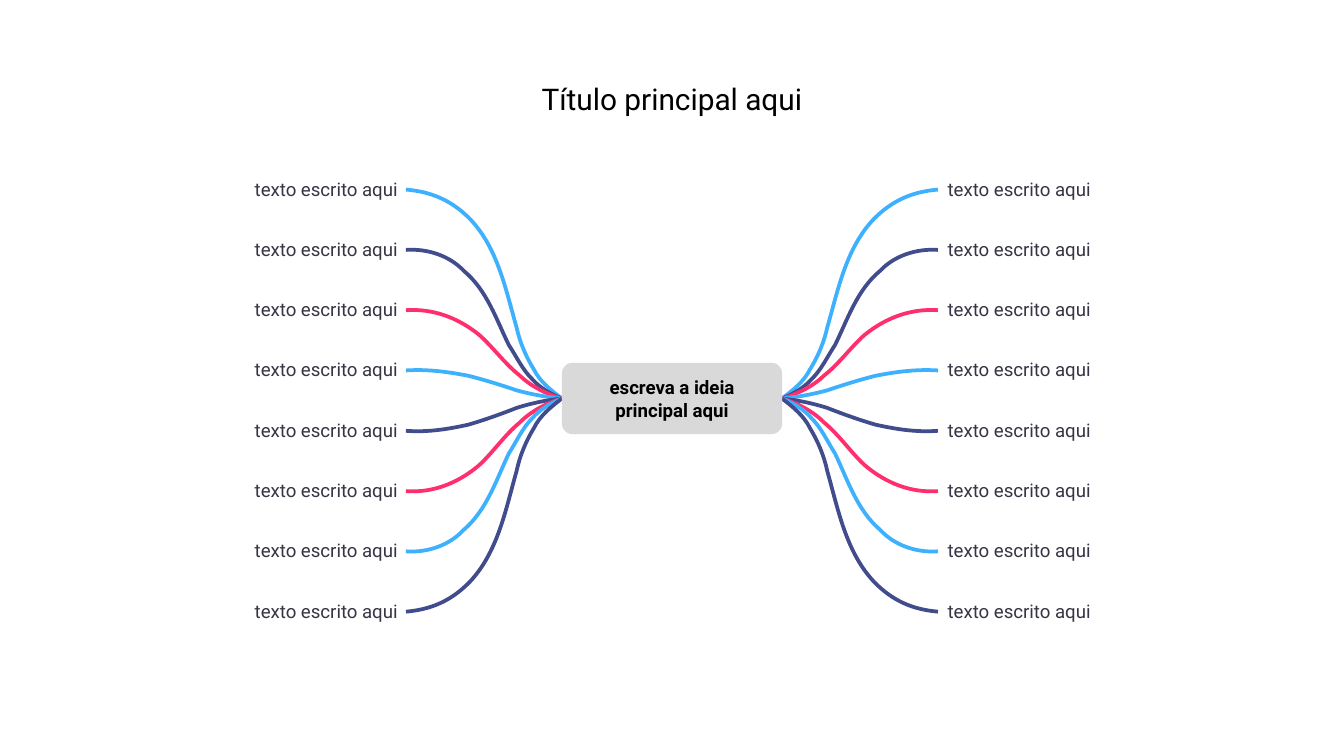
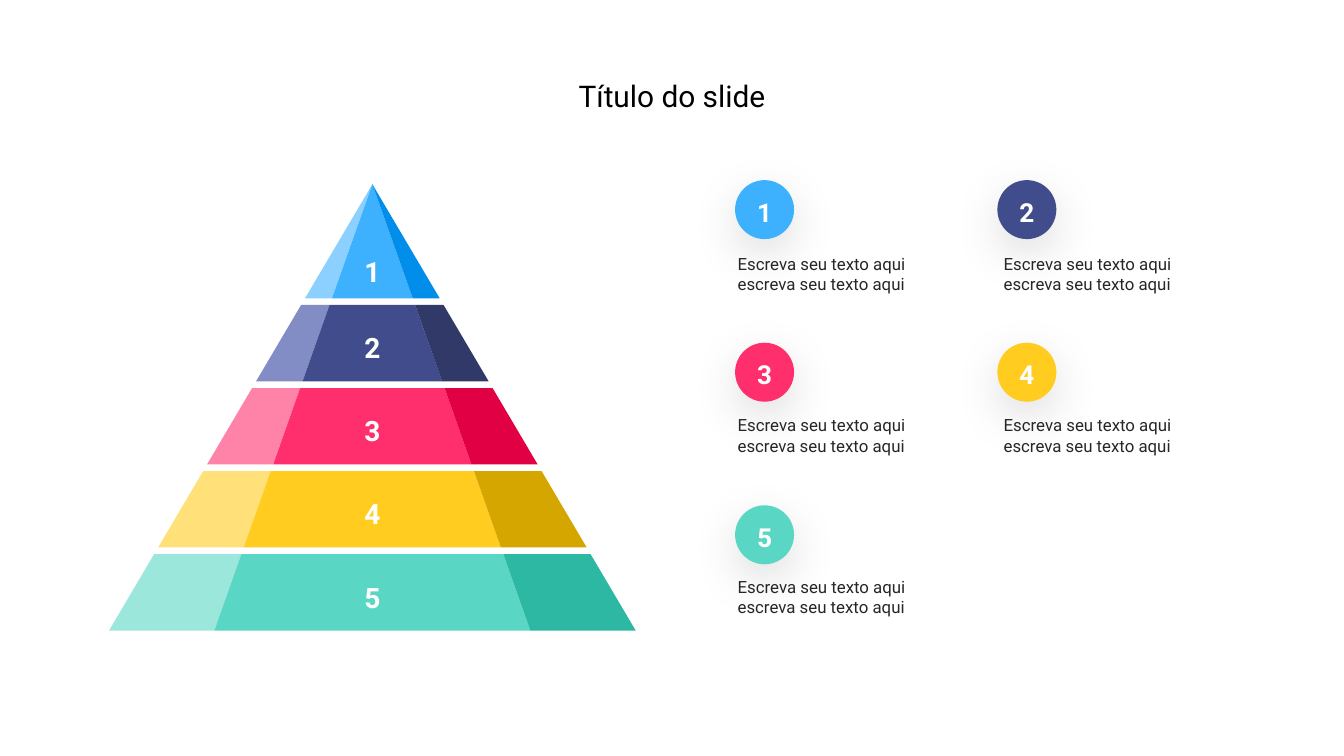
from dataclasses import dataclass
from itertools import cycle
from lxml.etree import SubElement
from pptx import Presentation
from pptx.dml.color import RGBColor
from pptx.enum.shapes import MSO_SHAPE
from pptx.enum.text import MSO_ANCHOR, MSO_AUTO_SIZE, PP_ALIGN
from pptx.oxml.ns import qn
from pptx.util import Pt

Point = tuple[float, float]
Box = tuple[float, float, float, float]

FONT = "Roboto"
BLACK, WHITE, GREY = "000000", "FFFFFF", "D9D9D9"
SLATE, INK = "373545", "262626"
SKY, NAVY, ROSE, GOLD, TEAL = "3DB1FE", "414C8C", "FF2F6E", "FFCC1F", "5AD7C4"
THIN = (1.5, 1.5, 1.5, 1.5)
WIDE = (7.2, 3.6, 7.2, 3.6)

CENTRE = 360
HUB = (301, 194.4, 118, 38.2)
SPAN = 83.5
ROW_TOP, ROW_STEP = 101.6, 32.3

APEX = (199.5, 98.7)
SLOPE, FACET = 0.59, 0.6
TIER_BASE, TIER_STEP, TIER_HIGH = 159.8, 44.5, 40.9
BADGE = 31.6


@dataclass(frozen=True)
class Bend:
    across: tuple[float, ...]
    along: tuple[float, ...]


@dataclass(frozen=True)
class Tier:
    light: str
    main: str
    dark: str
    width: float
    lift: float = 32.4


BENDS = [
    Bend((0.07, 0.14, 0.18, 0.23, 0.27, 0.29, 0.36, 0.41, 0.59, 0.71, 0.84, 1),
         (0.04, 0.08, 0.14, 0.2, 0.27, 0.34, 0.52, 0.72, 0.86, 0.95, 0.99, 1)),
    Bend((0.07, 0.14, 0.19, 0.25, 0.29, 0.34, 0.42, 0.48, 0.63, 0.72, 0.86, 1),
         (0.03, 0.07, 0.13, 0.19, 0.28, 0.36, 0.53, 0.73, 0.86, 0.96, 1.01, 1)),
    Bend((0.1, 0.2, 0.27, 0.37, 0.44, 0.53, 0.67, 0.83, 1),
         (0.05, 0.14, 0.26, 0.4, 0.58, 0.72, 0.92, 1.02, 1)),
    Bend((0.1, 0.19, 0.29, 0.39, 0.5, 0.6, 0.73, 0.86, 1),
         (0.05, 0.14, 0.29, 0.48, 0.67, 0.81, 0.95, 1.05, 1)),
]

TIERS = [
    Tier("8BD0FE", SKY, "018EEB", 35, 28.8),
    Tier("828CC5", NAVY, "313969", 66),
    Tier("FF82A8", ROSE, "E20045", 125),
    Tier("FFE079", GOLD, "D6A600", 155),
    Tier("9CE7DC", TEAL, "2DB8A3", 195),
]


def tint(code: str) -> RGBColor:
    return RGBColor.from_string(code)


def write(shape, words: str, *, size: float, color: str, bold: bool = False,
          align=PP_ALIGN.LEFT, anchor=MSO_ANCHOR.TOP, inset: Box = WIDE,
          grow: bool = False, leading: float = 1.0) -> None:
    frame = shape.text_frame
    frame.text = words
    frame.word_wrap = True
    frame.auto_size = MSO_AUTO_SIZE.SHAPE_TO_FIT_TEXT if grow else MSO_AUTO_SIZE.NONE
    frame.vertical_anchor = anchor
    frame.margin_left, frame.margin_top, frame.margin_right, frame.margin_bottom = map(Pt, inset)
    for para in frame.paragraphs:
        para.alignment = align
        para.line_spacing = leading
        for run in para.runs:
            run.font.name = FONT
            run.font.size = Pt(size)
            run.font.bold = bold
            run.font.color.rgb = tint(color)


def label(slide, box: Box, words: str, **style) -> None:
    write(slide.shapes.add_textbox(*map(Pt, box)), words, grow=True, **style)


def paint(shape, color: str) -> None:
    shape.shadow.inherit = False
    shape.fill.solid()
    shape.fill.fore_color.rgb = tint(color)
    shape.line.fill.background()


def begin(deck, words: str, top: float):
    slide = deck.slides.add_slide(deck.slide_layouts[5])
    title = slide.shapes.title
    title.left, title.top, title.width, title.height = map(Pt, (267.4, top, 185.2, 22.3))
    write(title, words, size=16, color=BLACK, align=PP_ALIGN.CENTER, inset=THIN, grow=True)
    return slide


def outline(shapes, dots: list[Point], close: bool):
    first, *rest = [(Pt(x), Pt(y)) for x, y in dots]
    pen = shapes.build_freeform(*first)
    pen.add_line_segments(rest, close=close)
    return pen.convert_to_shape()


def branch(slide, start: Point, end: Point, bend: Bend, color: str) -> None:
    (left, top), (right, low) = start, end
    dots = [start] + [(left + (right - left) * u, top + (low - top) * v)
                      for u, v in zip(bend.across, bend.along)]
    curve = outline(slide.shapes, dots, False)
    steps = list(curve.element.iter(qn("a:lnTo")))
    for trio in zip(steps[::3], steps[1::3], steps[2::3]):
        parent = trio[0].getparent()
        cubic = SubElement(parent, qn("a:cubicBezTo"))
        for step in trio:
            cubic.append(step[0])
            parent.remove(step)
    curve.shadow.inherit = False
    curve.fill.background()
    curve.line.color.rgb = tint(color)
    curve.line.width = Pt(2)


def draw_map(deck) -> None:
    slide = begin(deck, "Título principal aqui", 41.8)
    left, top, width, height = HUB
    middle = top + height / 2
    for side, margin, align in ((-1, 115.9, PP_ALIGN.RIGHT), (1, 506.2, PP_ALIGN.LEFT)):
        start = (CENTRE + side * width / 2, middle)
        for row, (bend, color) in enumerate(zip(BENDS + BENDS[::-1], cycle((SKY, NAVY, ROSE)))):
            level = ROW_TOP + row * ROW_STEP
            label(slide, (margin, level - 8, 98.6, 15), "texto escrito aqui",
                  size=10, color=SLATE, align=align, inset=THIN)
            branch(slide, start, (start[0] + side * SPAN, level), bend, color)
    hub = slide.shapes.add_shape(MSO_SHAPE.ROUNDED_RECTANGLE, *map(Pt, HUB))
    hub.adjustments[0] = 0.15
    paint(hub, GREY)
    write(hub, "escreva a ideia\nprincipal aqui", size=10, color=BLACK, bold=True,
          align=PP_ALIGN.CENTER, anchor=MSO_ANCHOR.MIDDLE, inset=(0, 0, 0, 0))


def edge(level: float, share: float) -> Point:
    return APEX[0] + share * SLOPE * (level - APEX[1]), level


def draw_tier(slide, tier: Tier, row: int) -> None:
    base = TIER_BASE + row * TIER_STEP
    top = base - TIER_HIGH if row else APEX[1]
    group = slide.shapes.add_group_shape()
    sides = ((-1, -FACET, tier.light), (-FACET, FACET, tier.main), (FACET, 1, tier.dark))
    for near, far, color in sides:
        dots = [edge(top, near), edge(base, near), edge(base, far)]
        if row:
            dots.append(edge(top, far))
        paint(outline(group.shapes, dots, True), color)
    label(slide, (APEX[0] - tier.width / 2, base - tier.lift, tier.width, 27.4), str(row + 1),
          size=15, color=WHITE, bold=True, align=PP_ALIGN.CENTER, leading=1.1)


def draw_badge(slide, color: str, index: int) -> None:
    row, column = divmod(index, 2)
    box = (393.8 + column * 140.5, 96.5 + row * 87.1, BADGE, BADGE)
    badge = slide.shapes.add_shape(MSO_SHAPE.OVAL, *map(Pt, box))
    paint(badge, color)
    glow = SubElement(badge.element.spPr.find(qn("a:effectLst")), qn("a:outerShdw"),
                      blurRad=str(Pt(25)), dist=str(Pt(8)), dir="5400000",
                      algn="t", rotWithShape="0")
    shade = SubElement(glow, qn("a:srgbClr"), val=BLACK)
    SubElement(shade, qn("a:alpha"), val="13000")
    write(badge, str(index + 1), size=14, color=WHITE, bold=True, align=PP_ALIGN.CENTER,
          anchor=MSO_ANCHOR.MIDDLE, inset=(7.2, 5.8, 7.2, 3.6))
    label(slide, (388.1 + column * 142.5, 132.5 + row * 86.4, 119.5, 28.8),
          "Escreva seu texto aqui escreva seu texto aqui", size=9, color=INK)


def draw_pyramid(deck) -> None:
    slide = begin(deck, "Título do slide", 40.3)
    for row, tier in enumerate(TIERS):
        draw_tier(slide, tier, row)
        draw_badge(slide, tier.main, row)


def main() -> None:
    deck = Presentation()
    deck.slide_width, deck.slide_height = Pt(720), Pt(405)
    draw_map(deck)
    draw_pyramid(deck)
    deck.save("out.pptx")


if __name__ == "__main__":
    main()
